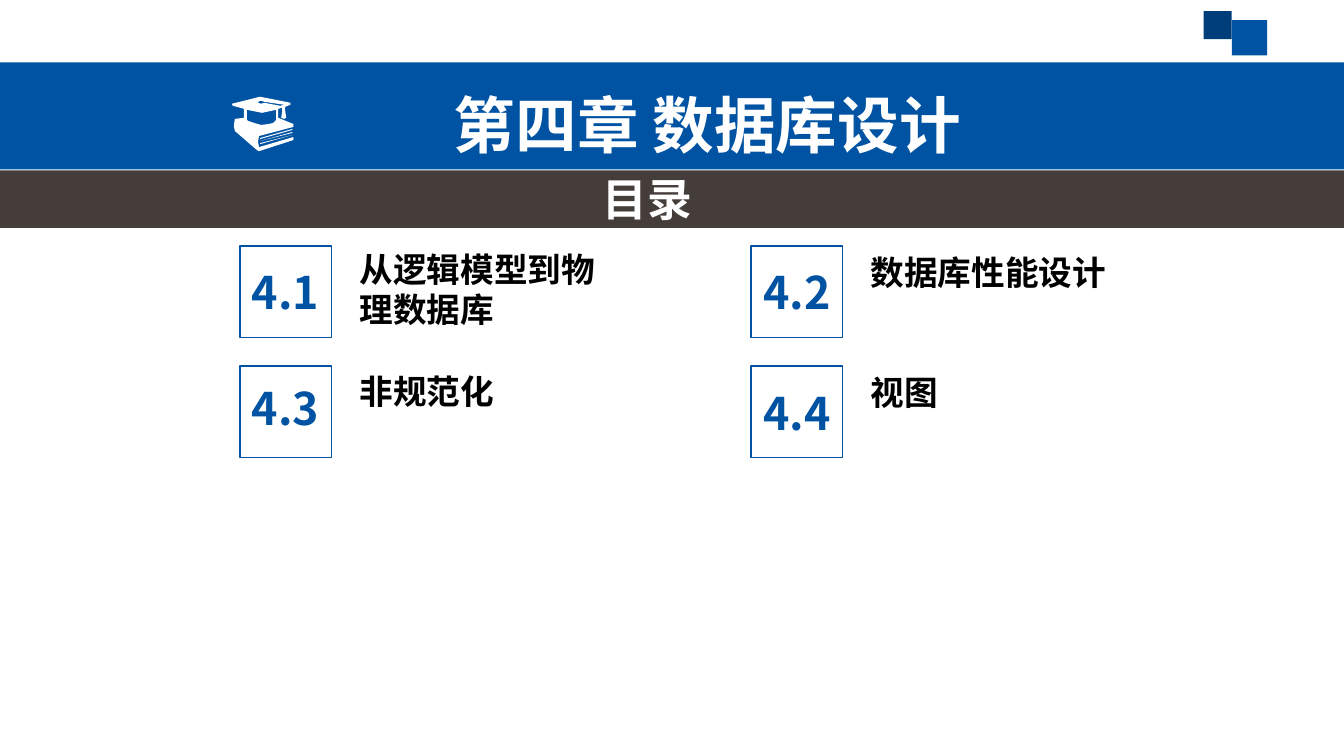
"""Build the contents slide of chapter four, laid out on a grid of 160 columns by 90 rows."""
from dataclasses import dataclass

from lxml import etree
from pptx import Presentation
from pptx import util as u
from pptx.dml.color import RGBColor
from pptx.enum import shapes, text
from pptx.oxml.ns import qn

CELL = u.Inches(1 / 12)
COLUMNS, ROWS = 160, 90
BLUE = RGBColor(0x00, 0x53, 0xA3)
NAVY = RGBColor(0x00, 0x3E, 0x7A)
BROWN = RGBColor(0x45, 0x3D, 0x3A)
WHITE = RGBColor(0xFF, 0xFF, 0xFF)
BLACK = RGBColor(0x00, 0x00, 0x00)
CHINESE_FONT = "Noto Sans CJK SC"
TITLE_FONT = "DejaVu Sans"

BADGE = 10.92
FIRST_BADGE = (28.56, 29.28)
BADGE_STEP = (60.84, 14.28)
LABEL_OFFSET, LABEL_WIDTH = 13.08, 31.44

ICON_UNIT = CELL * 0.12
ICON_CONTOURS = [
    [(245, 109), (245, 119), (246, 120), (252, 122.5), (259, 124), (267, 123),
     (271, 121.5), (274, 119), (274, 109), (260, 112)],
    [(283, 110), (284, 117), (282, 117.7), (279, 117), (280, 110), (280, 107),
     (276, 108), (276, 117), (291, 123), (291, 126), (257, 135), (256, 141),
     (257, 146), (291, 136), (291, 139), (257, 150), (255, 149), (233, 130),
     (231.7, 125), (233, 118), (242, 117), (242, 108), (231, 105), (230, 103),
     (258, 96), (288, 102), (288, 104), (283, 106)],
    [(278, 105), (282, 104), (262, 101), (259, 100), (256, 101), (256.5, 102.3),
     (259, 103), (262, 102)],
    [(258, 142), (258, 143), (290, 134.5), (290, 133.5)],
    [(258, 139.5), (258, 140.5), (290, 132), (290, 131)],
    [(258, 137), (258, 138), (290, 129), (290, 128)],
]


@dataclass(frozen=True)
class Box:
    """A rectangle in grid columns and rows."""
    left: float
    top: float
    width: float
    height: float

    def lengths(self) -> list[u.Emu]:
        """Return left, top, width and height as slide lengths."""
        return [u.Emu(round(cells * CELL))
                for cells in (self.left, self.top, self.width, self.height)]


@dataclass(frozen=True)
class Style:
    """The look of a line of text."""
    size: int
    color: RGBColor
    font: str = CHINESE_FONT
    alignment: text.PP_ALIGN = text.PP_ALIGN.CENTER


@dataclass(frozen=True)
class Topic:
    """A numbered entry, with the rows its texts sit below the badge's top."""
    number: str
    label: str
    number_drop: float
    label_drop: float
    label_height: float = 6


TOPICS = [
    Topic("4.1", "从逻辑模型到物理数据库", 1.68, -0.24, 10.92),
    Topic("4.2", "数据库性能设计", 1.68, 0.12),
    Topic("4.3", "非规范化", 1.2, 0),
    Topic("4.4", "视图", 1.8, 0.12),
]
TITLE_STYLE = Style(44, WHITE, TITLE_FONT)
SUBTITLE_STYLE = Style(32, WHITE)
NUMBER_STYLE = Style(32, BLUE)
LABEL_STYLE = Style(24, BLACK, alignment=text.PP_ALIGN.LEFT)


def write(shape, words: str, style: Style) -> None:
    """Fill a shape with one styled paragraph."""
    frame = shape.text_frame
    frame.text = words
    frame.word_wrap = True
    frame.auto_size = text.MSO_AUTO_SIZE.SHAPE_TO_FIT_TEXT
    frame.vertical_anchor = text.MSO_ANCHOR.TOP
    paragraph = frame.paragraphs[0]
    paragraph.alignment = style.alignment
    font = paragraph.font
    font.size, font.bold, font.name = u.Pt(style.size), True, style.font
    font.color.rgb = style.color
    properties = paragraph._p.pPr.find(qn("a:defRPr"))
    east_asian = etree.Element(qn("a:ea"), typeface=CHINESE_FONT)
    properties.find(qn("a:latin")).addnext(east_asian)


def add_text(parent, box: Box, words: str, style: Style) -> None:
    """Add a text box."""
    write(parent.add_textbox(*box.lengths()), words, style)


def add_block(parent, box: Box, fill: RGBColor | None = None):
    """Add a filled rectangle, or a blue outlined one when no fill is given."""
    shape = parent.add_shape(shapes.MSO_SHAPE.RECTANGLE, *box.lengths())
    shape.shadow.inherit = False
    if fill is None:
        shape.fill.background()
        shape.line.color.rgb = BLUE
        shape.line.width = u.Pt(1)
    else:
        shape.fill.solid()
        shape.fill.fore_color.rgb = fill
        shape.line.fill.background()
    return shape


def add_book_icon(parent) -> None:
    """Draw the book wearing a graduation cap."""
    first, *others = ICON_CONTOURS
    builder = parent.build_freeform(*first[0], scale=ICON_UNIT)
    builder.add_line_segments(first[1:], close=True)
    for contour in others:
        builder.move_to(*contour[0])
        builder.add_line_segments(contour[1:], close=True)
    icon = builder.convert_to_shape()
    icon.shadow.inherit = False
    icon.fill.solid()
    icon.fill.fore_color.rgb = WHITE
    icon.line.fill.background()


def add_topic(parent, topic: Topic, column: int, row: int) -> None:
    """Add a grouped badge, number and label at a place in the topic grid."""
    left = FIRST_BADGE[0] + column * BADGE_STEP[0]
    top = FIRST_BADGE[1] + row * BADGE_STEP[1]
    group = parent.add_group_shape().shapes
    label_box = Box(left + LABEL_OFFSET, top + topic.label_drop,
                    LABEL_WIDTH, topic.label_height)
    add_text(group, label_box, topic.label, LABEL_STYLE)
    add_text(group, Box(left, top + topic.number_drop, BADGE, 7.68),
             topic.number, NUMBER_STYLE)
    add_block(group, Box(left, top, BADGE, BADGE))


def main() -> None:
    """Build and save the slide."""
    presentation = Presentation()
    presentation.slide_width = u.Emu(COLUMNS * CELL)
    presentation.slide_height = u.Emu(ROWS * CELL)
    slide = presentation.slides.add_slide(presentation.slide_layouts[5])
    canvas = slide.shapes

    add_block(canvas, Box(0, 20.28, COLUMNS, 6.84), BROWN)
    title_band = add_block(canvas, Box(0, 7.44, COLUMNS, 12.72), BLUE)
    title = canvas.title
    title.left, title.top, title.width, title.height = Box(
        29.88, 9.72, 108.72, 10.08).lengths()
    write(title, "第四章 数据库设计", TITLE_STYLE)
    title_band._element.addnext(title._element)

    add_block(canvas, Box(146.64, 2.4, 4.2, 4.2), BLUE)
    add_block(canvas, Box(143.28, 1.32, 3.36, 3.36), NAVY)
    add_book_icon(canvas)
    add_text(canvas, Box(61.8, 19.8, 30.48, 7.68), "目录", SUBTITLE_STYLE)
    for index, topic in enumerate(TOPICS):
        row, column = divmod(index, 2)
        add_topic(canvas, topic, column, row)
    presentation.save("out.pptx")


if __name__ == "__main__":
    main()
